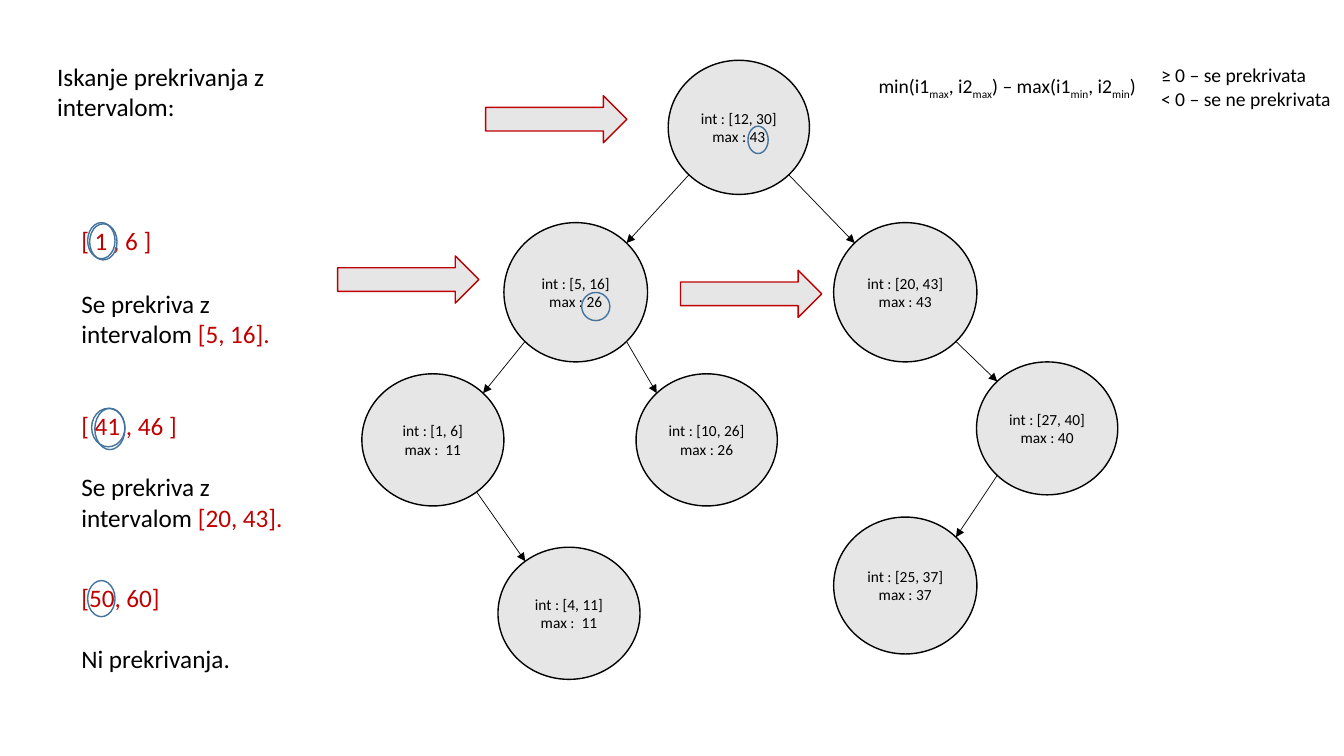
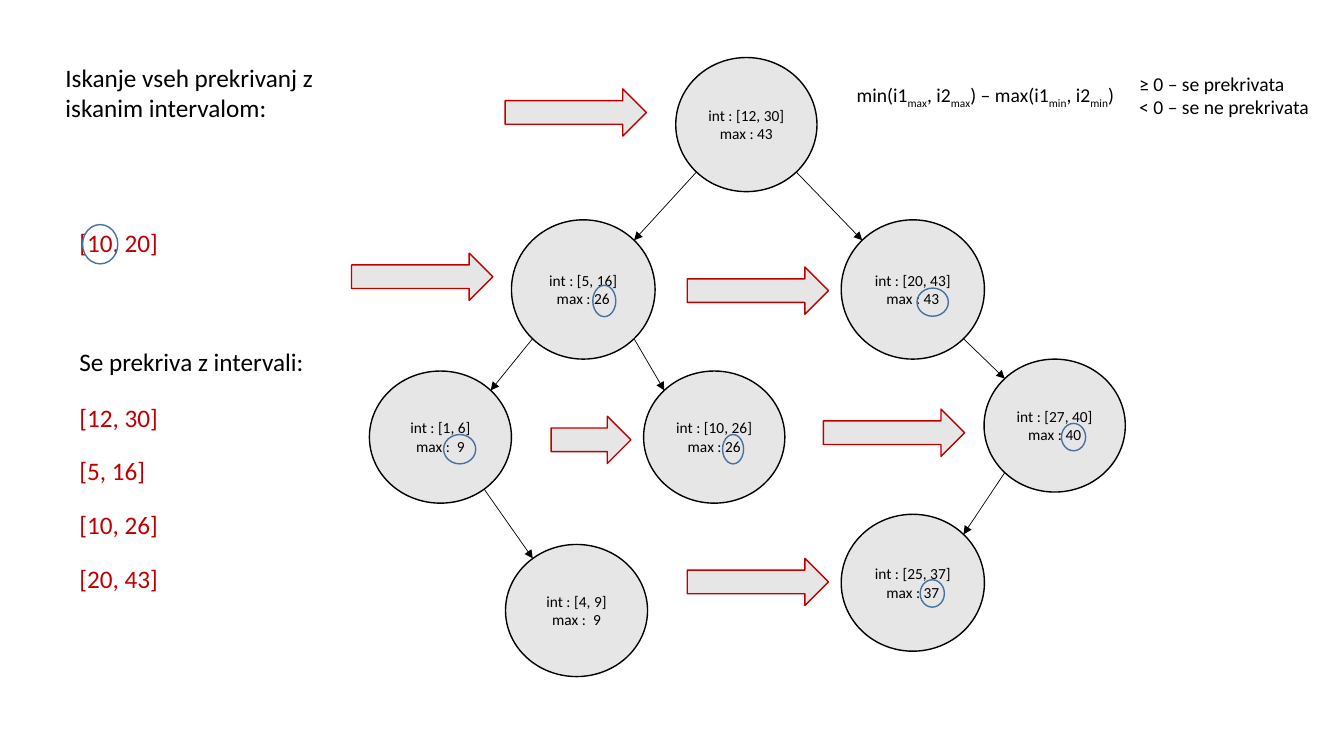
from dataclasses import dataclass
from math import cos, radians, sin

from lxml import etree
from pptx import Presentation
from pptx import util as u
from pptx.dml.color import RGBColor
from pptx.enum import shapes, text
from pptx.oxml.ns import qn


@dataclass(frozen=True)
class Theme:
    font: str = "Calibri"
    ink: str = "000000"
    red: str = "C00000"
    blue: str = "43739E"
    gray: str = "E7E6E6"
    body: int = 18
    rule: int = 14
    node: int = 11
    edge: float = 0.5
    line: float = 1


T = Theme()

NODES = {
    "root": (16.84, 1.52, 3.56, 3.38),
    "left": (12.7, 5.61, 3.62, 3.51),
    "right": (21.01, 5.61, 3.61, 3.51),
    "low": (9.12, 9.42, 3.58, 3.33),
    "mid": (16.03, 9.42, 3.56, 3.33),
    "high": (24.61, 9.12, 3.56, 3.35),
    "inner": (21.01, 13.03, 3.61, 3.45),
    "leaf": (12.55, 13.79, 3.58, 3.33),
}
EDGES = [
    ("root", "right", 45), ("root", "left", 135),
    ("left", "low", 135), ("left", "mid", 45),
    ("right", "high", 45), ("high", "inner", 135),
    ("low", "leaf", 52),
]
LABELS = {
    "root": ("[12, 30]", "43"), "left": ("[5, 16]", "26"),
    "right": ("[20, 43]", "43"), "low": ("[1, 6]", " 11"),
    "mid": ("[10, 26]", "26"), "high": ("[27, 40]", "40"),
    "inner": ("[25, 37]", "37"), "leaf": ("[4, 11]", " 11"),
}
RULE = [("min(i1", 0), ("max", 1), (", i2", 0), ("max", 1), (") – max(i1", 0),
        ("min", 1), (", i2", 0), ("min", 1), (")", 0)]
SIGNS = ["≥ 0 – se prekrivata", "< 0 – se ne prekrivata"]
FOUND = ["[12, 30]", "[5, 16]", "[10, 26]", "[20, 43]"]

PAGES = [
    dict(
        shift=(0, 0), labels=LABELS, rule=(21.89, 1.75),
        notes=[
            (1.19, 1.42, 6.53, ["Iskanje prekrivanja z intervalom:"]),
            (1.8, 5.56, 2.4, ["[ 1 , 6 ]"]),
            (1.8, 7.14, 6.17, ["Se prekriva z intervalom ", "[5, 16]."]),
            (1.8, 10.21, 3.1, ["[ 41 , 46 ]"]),
            (1.8, 11.76, 6.17, ["Se prekriva z intervalom ", "[20, 43]."]),
            (1.8, 14.55, 3.28, ["[50, 60]"]),
            (1.8, 16.08, 5.11, ["Ni prekrivanja."]),
        ],
        arrows=[(12.24, 2.41, 3.56), (8.51, 6.45, 3.56), (17.15, 6.81, 3.56)],
        rings=[
            (2.26, 5.64, 0.69, 0.91), (2.21, 5.61, 0.69, 0.91),
            (14.66, 7.37, 0.71, 0.71), (18.85, 3.18, 0.51, 0.69),
            (2.31, 10.29, 0.84, 0.97), (2.39, 10.29, 0.76, 1.04),
            (2.21, 14.63, 0.69, 0.91),
        ],
    ),
    dict(
        shift=(0.19, -0.07), rule=(21.34, 1.96),
        labels={**LABELS, "low": ("[1, 6]", " 9"), "leaf": ("[4, 9]", " 9")},
        notes=[
            (1.4, 1.45, 8, ["Iskanje vseh prekrivanj z iskanim intervalom:"]),
            (1.75, 5.61, 3.99, ["[10, 20]"]),
            (1.75, 8.61, 6.4, ["Se prekriva z intervali:"]),
        ] + [(1.75, 10.01 + 1.35 * i, 3, [span]) for i, span in enumerate(FOUND)],
        arrows=[
            (12.73, 2.24, 3.56), (8.86, 6.38, 3.56), (17.32, 6.73, 3.56),
            (13.89, 10.49, 2.01), (20.75, 10.31, 3.56), (17.32, 14.07, 3.56),
        ],
        rings=[
            (2.08, 5.66, 0.89, 0.99), (14.94, 7.19, 0.58, 0.79),
            (11.18, 10.95, 0.81, 0.74), (23.11, 7.26, 0.79, 0.71),
            (18.21, 10.95, 0.53, 0.74), (26.75, 10.67, 0.61, 0.69),
            (23.19, 14.61, 0.61, 0.69),
        ],
    ),
]


def cm(*vals):
    return [u.Cm(val) for val in vals]


def style(run, size, color=T.ink):
    run.font.name = T.font
    run.font.size = u.Pt(size)
    run.font.color.rgb = RGBColor.from_string(color)


def shape(slide, kind, box, line, fill=None):
    item = slide.shapes.add_shape(kind, *cm(*box))
    item.shadow.inherit = False
    if fill:
        item.fill.solid()
        item.fill.fore_color.rgb = RGBColor.from_string(fill)
    else:
        item.fill.background()
    item.line.color.rgb = RGBColor.from_string(line)
    item.line.width = u.Pt(T.line)
    return item


def node(slide, box, label):
    item = shape(slide, shapes.MSO_SHAPE.OVAL, box, T.ink, T.gray)
    frame = item.text_frame
    frame.margin_left = frame.margin_right = 0
    frame.vertical_anchor = text.MSO_ANCHOR.MIDDLE
    frame.text = "int : {}\nmax : {}".format(*label)
    for para in frame.paragraphs:
        para.alignment = text.PP_ALIGN.CENTER
        style(para.runs[0], T.node)
    return item


def rim(item, angle):
    turn = radians(angle)
    return (int(item.left + item.width / 2 * (1 + cos(turn))),
            int(item.top + item.height / 2 * (1 + sin(turn))))


def edge(slide, start, end, angle):
    ends = [("a:stCxn", start, angle), ("a:endCxn", end, angle + 180)]
    points = [rim(item, turn) for _, item, turn in ends]
    link = slide.shapes.add_connector(
        shapes.MSO_CONNECTOR.STRAIGHT, *points[0], *points[1])
    link.line.color.rgb = RGBColor.from_string(T.ink)
    link.line.width = u.Pt(T.edge)
    etree.SubElement(link.line._get_or_add_ln(), qn("a:tailEnd"), type="triangle")
    etree.SubElement(link._element.spPr, qn("a:effectLst"))
    if angle % 45 == 0:
        glue = link._element.find(".//" + qn("p:cNvCxnSpPr"))
        for tag, item, turn in ends:
            site = (270 - turn) // 45 % 8
            etree.SubElement(glue, qn(tag), id=str(item.shape_id), idx=str(site))


def frame(slide, left, top, width, height):
    area = slide.shapes.add_textbox(*cm(left, top, width, height)).text_frame
    area.word_wrap = True
    area.auto_size = text.MSO_AUTO_SIZE.SHAPE_TO_FIT_TEXT
    return area


def note(slide, left, top, width, parts):
    tall = 1.8 if len("".join(parts)) > 24 else 1.02
    para = frame(slide, left, top, width, tall).paragraphs[0]
    for part in parts:
        run = para.add_run()
        run.text = part
        style(run, T.body, T.red if part.startswith("[") else T.ink)


def rule(slide, left, top):
    para = frame(slide, left, top, 8.28, 0.86).paragraphs[0]
    for part, low in RULE:
        run = para.add_run()
        run.text = part
        style(run, T.rule)
        if low:
            run.font._element.set("baseline", "-25000")
    signs = frame(slide, left + 7.12, top - 0.28, 4.9, 1.45)
    signs.text = "\n".join(SIGNS)
    for para in signs.paragraphs:
        style(para.runs[0], T.rule)


def build(slide, page):
    dx, dy = page["shift"]
    tree = {}
    for name, (left, top, width, height) in NODES.items():
        box = (left + dx, top + dy, width, height)
        tree[name] = node(slide, box, page["labels"][name])
    for start, end, angle in EDGES:
        edge(slide, tree[start], tree[end], angle)
    for item in page["notes"]:
        note(slide, *item)
    for spot in page["arrows"]:
        shape(slide, shapes.MSO_SHAPE.RIGHT_ARROW, (*spot, 1.19), T.red, T.gray)
    for ring in page["rings"]:
        shape(slide, shapes.MSO_SHAPE.OVAL, ring, T.blue)
    rule(slide, *page["rule"])


def main():
    deck = Presentation()
    deck.slide_width, deck.slide_height = cm(33.87, 19.05)
    for page in PAGES:
        build(deck.slides.add_slide(deck.slide_layouts[6]), page)
    deck.save("out.pptx")


if __name__ == "__main__":
    main()
